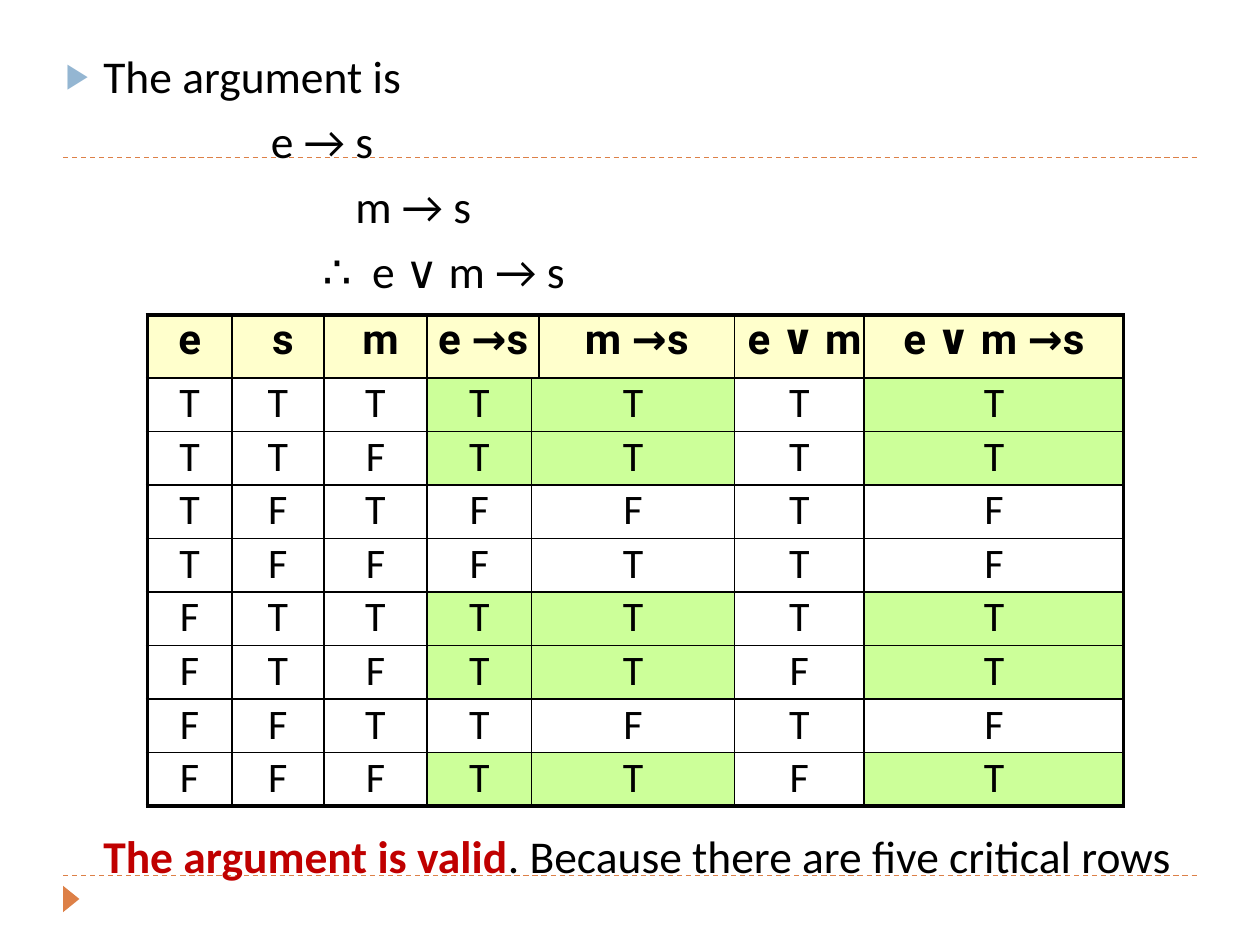
from itertools import product

from lxml.etree import SubElement
from pptx import Presentation
from pptx.dml.color import RGBColor
from pptx.enum.dml import MSO_LINE
from pptx.enum.shapes import MSO_CONNECTOR, MSO_SHAPE
from pptx.enum.text import MSO_ANCHOR, MSO_AUTO_SIZE, PP_ALIGN
from pptx.oxml import parse_xml
from pptx.oxml.ns import nsdecls, qn
from pptx.util import Inches, Pt

COLORS = {
    "ink": "000000",
    "accent": "DD8047",
    "bullet": "94B6D2",
    "verdict": "C00000",
    "header": "FFFFCC",
    "critical": "CCFF99",
}
COLUMNS, ROWS = 100, 75  # grid over the slide
THIN, THICK = 1, 2.25
NO_STYLE = "{2D5ABB26-0587-4C30-8999-92F81FD0307C}"


class TruthSlide:
    """Holds the style and the current slide; lengths are grid columns and rows."""

    def __init__(self, prs):
        self.col = prs.slide_width / COLUMNS
        self.row = prs.slide_height / ROWS
        self.slide = prs.slides.add_slide(prs.slide_layouts[1])
        self.shapes = self.slide.shapes
        title = self.shapes.title
        title._element.getparent().remove(title._element)

    def x(self, columns):
        return round(columns * self.col)

    def y(self, rows):
        return round(rows * self.row)

    def box(self, left, top, width, height):
        return self.x(left), self.y(top), self.x(width), self.y(height)

    def color(self, name):
        return RGBColor.from_string(COLORS[name])

    def font(self, run, size, name="Calibri", color="ink", bold=False):
        run.font.size, run.font.name, run.font.bold = Pt(size), name, bold
        run.font.color.rgb = self.color(color)

    def rule(self, left, right, top):
        line = self.shapes.add_connector(
            MSO_CONNECTOR.STRAIGHT, self.x(left), self.y(top), self.x(right), self.y(top))
        line.line.color.rgb = self.color("accent")
        line.line.width = Pt(0.75)
        line.line.dash_style = MSO_LINE.DASH
        SubElement(line._element.spPr, qn("a:effectLst"))

    def marker(self, *place):
        triangle = self.shapes.add_shape(MSO_SHAPE.ISOSCELES_TRIANGLE, *self.box(*place))
        triangle.rotation = 90
        triangle.shadow.inherit = False
        triangle.fill.solid()
        triangle.fill.fore_color.rgb = self.color("accent")
        triangle.line.fill.background()

    def body(self, place):
        holder = self.slide.placeholders[1]
        holder.left, holder.top, holder.width, holder.height = self.box(*place)
        frame = holder.text_frame
        frame.word_wrap = True
        frame.auto_size = MSO_AUTO_SIZE.NONE
        frame.vertical_anchor = MSO_ANCHOR.TOP
        self.shapes._spTree.append(holder._element)  # in front of the rules
        return frame

    def paragraph(self, paragraph, parts, margin, before=6, bullet=False):
        for text, color, bold in parts:
            run = paragraph.add_run()
            run.text = text
            self.font(run, 26, color=color, bold=bold)
        paragraph.space_before = Pt(before)
        props = paragraph._p.get_or_add_pPr()
        props.set("marL", str(self.x(margin)))
        props.set("indent", str(-self.x(3) if bullet else 0))
        if bullet:
            tint = SubElement(props, qn("a:buClr"))
            SubElement(tint, qn("a:srgbClr"), val=COLORS["bullet"])
            SubElement(props, qn("a:buSzPct"), val="76000")
            SubElement(props, qn("a:buChar"), char="▶")
        else:
            SubElement(props, qn("a:buNone"))

    def table(self, place, widths, heights):
        frame = self.shapes.add_table(len(heights), len(widths), *self.box(*place))
        table = frame.table
        table.first_row = table.horz_banding = False
        table._tbl.tblPr.find(qn("a:tableStyleId")).text = NO_STYLE
        for column, width in zip(table.columns, widths):
            column.width = self.x(width)
        for row, height in zip(table.rows, heights):
            row.height = self.y(height)
        return table

    def cell(self, cell, text, fill=None, **style):
        cell.margin_left = cell.margin_right = cell.margin_top = cell.margin_bottom = 0
        paragraph = cell.text_frame.paragraphs[0]
        paragraph.text = text
        paragraph.alignment = PP_ALIGN.CENTER
        self.font(paragraph.runs[0], 24, **style)
        if fill:
            cell.fill.solid()
            cell.fill.fore_color.rgb = self.color(fill)
        else:
            cell.fill.background()
        return paragraph

    def borders(self, cell, **widths):
        props = cell._tc.get_or_add_tcPr()
        for place, side in enumerate("LRTB"):
            props.insert(place, parse_xml(
                f'<a:ln{side} {nsdecls("a")} w="{Pt(widths[side])}"><a:solidFill>'
                f'<a:srgbClr val="{COLORS["ink"]}"/></a:solidFill></a:ln{side}>'))


def truth_rows():
    """Yield the seven truth values of each row, and whether it is critical."""
    for e, s, m in product((True, False), repeat=3):
        e_s, m_s, either = not e or s, not m or s, e or m
        yield (e, s, m, e_s, m_s, either, not either or s), e_s and m_s


def main():
    prs = Presentation()
    prs.slide_width, prs.slide_height = Inches(10), Inches(7.5)
    page = TruthSlide(prs)

    # Frame of the page
    for top in (69.5, 12.5):
        page.rule(5, 95, top)
    page.marker(4.6, 70.7, 2.1, 1.3)

    # Argument and verdict, with room for the table between them
    argument = page.body((4.2, 3.3, 90, 71.7))
    lines = [
        ([("The argument is", "ink", False)], 3, 6, True),
        ([("e → s", "ink", False)], 16.3, 6, False),
        ([("m → s", "ink", False)], 23, 6, False),
        ([("∴  e ∨ m → s", "ink", False)], 20.4, 6, False),
        ([("The argument is valid", "verdict", True),
          (". Because there are five critical rows", "ink", False)], 3, 303, False),
    ]
    for number, line in enumerate(lines):
        target = argument.add_paragraph() if number else argument.paragraphs[0]
        page.paragraph(target, *line)

    # Truth table: the narrow fifth column joins e →s in the header, m →s below
    headings = ["e", " s", " m", "e →s", "m →s", " e ∨ m", "e ∨ m →s"]
    header_columns = [0, 1, 2, 3, 5, 6, 7]
    value_columns = [0, 1, 2, 3, 4, 6, 7]
    shaded = {3, 4, 7}
    widths = [6.7, 7.3, 8.2, 8.3, 0.6, 15.5, 10.3, 20.6]
    heights = [5] + [4.25] * 8
    table = page.table((11.7, 25, sum(widths), sum(heights)), widths, heights)

    table.cell(0, 3).merge(table.cell(0, 4))
    for column, heading in zip(header_columns, headings):
        page.cell(table.cell(0, column), heading, "header", name="Roboto", bold=True)

    for row, (values, critical) in enumerate(truth_rows(), start=1):
        table.cell(row, 4).merge(table.cell(row, 5))
        for column, value in zip(value_columns, values):
            fill = "critical" if critical and column in shaded else None
            letter = page.cell(table.cell(row, column), "T" if value else "F", fill)
            letter.space_after = Pt(10)

    # Thin grid with a thick outer edge
    last_row, last_column = len(heights) - 1, len(widths) - 1
    for row, column in product(range(len(heights)), range(len(widths))):
        cell = table.cell(row, column)
        if not cell.is_spanned:
            page.borders(cell,
                         L=THIN if column else THICK,
                         R=THICK if column == last_column else THIN,
                         T=THIN if row else THICK,
                         B=THICK if row == last_row else THIN)

    prs.save("out.pptx")


if __name__ == "__main__":
    main()
